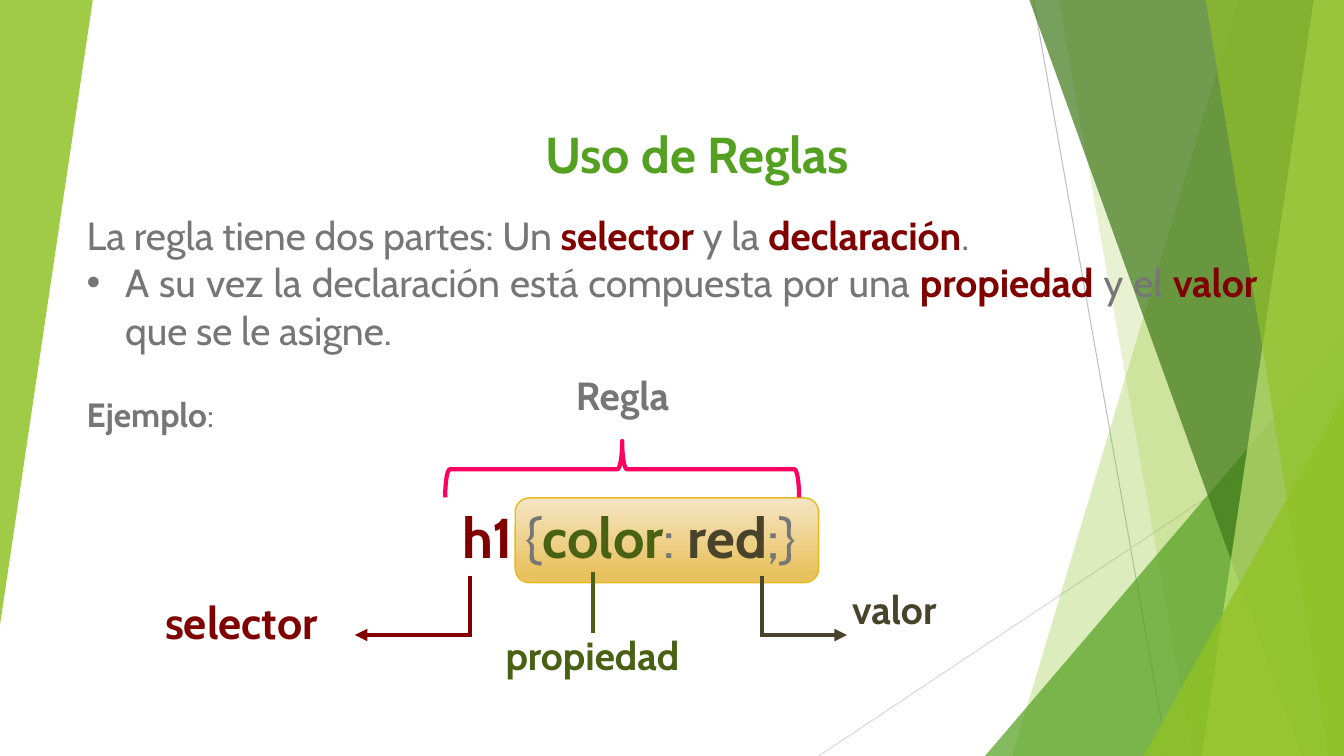
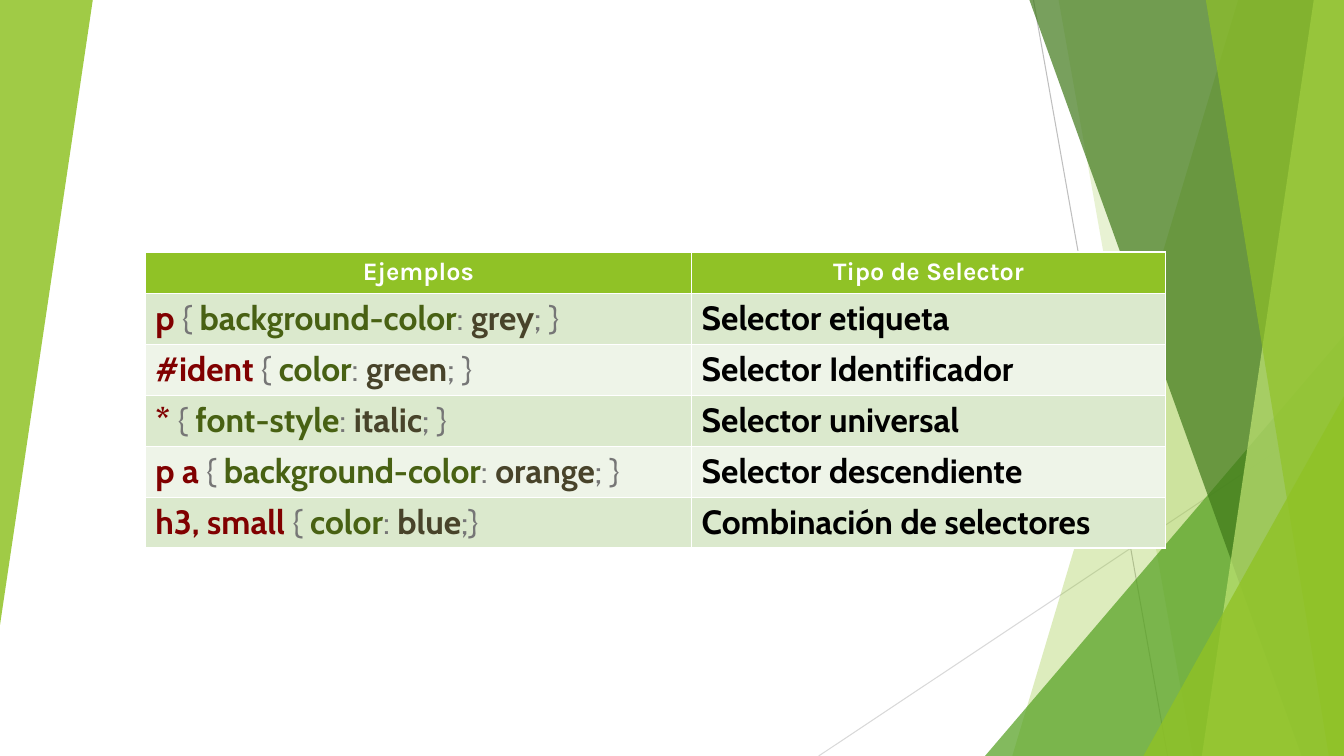
from typing import NamedTuple

from lxml import etree
from pptx import Presentation
from pptx.dml.color import RGBColor
from pptx.enum import shapes, text
from pptx.oxml import ns
from pptx.util import Inches, Pt

SLIDE_WIDTH, SLIDE_HEIGHT = 13.33, 7.5
BODY_FONT, HEADER_FONT = "Cabin", "Karla"

WHITE = RGBColor(0xFF, 0xFF, 0xFF)
BLACK = RGBColor(0x00, 0x00, 0x00)
GREY = RGBColor(0x76, 0x76, 0x76)
SILVER = RGBColor(0xBF, 0xBF, 0xBF)
PALE_SILVER = RGBColor(0xD9, 0xD9, 0xD9)
LIME = RGBColor(0x90, 0xC2, 0x26)
LIGHT_LIME = RGBColor(0xC0, 0xE4, 0x74)
GREEN = RGBColor(0x54, 0xA0, 0x21)
DARK_GREEN = RGBColor(0x3F, 0x78, 0x19)
MAROON = RGBColor(0x80, 0x00, 0x00)
OLIVE = RGBColor(0x48, 0x61, 0x13)
BROWN = RGBColor(0x48, 0x43, 0x2A)
PINK = RGBColor(0xFF, 0x00, 0x62)
GOLD = RGBColor(0xE6, 0xB9, 0x1E)
CREAM = RGBColor(0xF5, 0xE5, 0xC5)
SAND = RGBColor(0xE9, 0xC2, 0x60)
ROW_FILLS = (RGBColor(0xDB, 0xE9, 0xCD), RGBColor(0xEE, 0xF4, 0xE8))


class Box(NamedTuple):
    left: float
    top: float
    width: float
    height: float

    def lengths(self) -> list:
        return [Inches(value) for value in self]


class Run(NamedTuple):
    words: str
    color: RGBColor = GREY
    bold: bool = False


class Band(NamedTuple):
    """A strip from its slanted left edge to the right side of the slide."""
    top_x: float
    bottom_x: float
    color: RGBColor
    opacity: int


class Triangle(NamedTuple):
    box: Box
    color: RGBColor
    opacity: int
    rotation: int = 0


class Line(NamedTuple):
    start: tuple[float, float]
    end: tuple[float, float]
    color: RGBColor
    points: float = 3
    arrow: bool = False


class Label(NamedTuple):
    box: Box
    runs: list[Run]
    size: int = 28


class Example(NamedTuple):
    selector: str
    name: str
    value: str
    kind: str
    closing: str = "; }"


BACKDROP = [
    Line((10.25, 0), (11.58, SLIDE_HEIGHT), SILVER, 0.75),
    Line((SLIDE_WIDTH, 4.03), (8.12, SLIDE_HEIGHT), PALE_SILVER, 0.75),
    Band(12.28, 10.04, LIME, 30),
    Band(10.5, 11.83, LIME, 20),
    Triangle(Box(9.77, 3.33, 3.56, 4.17), GREEN, 72),
    Band(10.21, 12.91, DARK_GREEN, 70),
    Band(13.03, 11.92, LIGHT_LIME, 70),
    Band(11.96, 13.18, LIME, 65),
    Triangle(Box(11.34, 3.93, 1.99, 3.57), LIME, 80),
    Triangle(Box(0, 0, 0.92, 6.2), LIME, 85, rotation=180),
]

BODY = [
    [Run("La regla tiene dos partes: Un "), Run("selector", MAROON, True),
     Run(" y la "), Run("declaración", MAROON, True), Run(".")],
    [Run("A su vez la declaración está compuesta por una "),
     Run("propiedad", MAROON, True), Run(" y el "), Run("valor", MAROON, True),
     Run(" que se le asigne.")],
    [Run("Ejemplo", bold=True), Run(":")],
]

EXAMPLES = [
    Example("p", "background-color", "grey", "Selector etiqueta"),
    Example("#ident", "color", "green", "Selector Identificador"),
    Example("*", "font-style", "italic", "Selector universal"),
    Example("p a", "background-color", "orange", "Selector descendiente"),
    Example("h3, small", "color", "blue", "Combinación de selectores", ";}"),
]


def css_rule(selector: str, name: str, value: str,
             opening: str = " { ", closing: str = "; }") -> list[Run]:
    return [Run(selector, MAROON, True), Run(opening), Run(name, OLIVE, True),
            Run(": "), Run(value, BROWN, True), Run(closing)]


LABELS = [
    Label(Box(4.22, 4.94, 4.17, 0.77), css_rule("h1", "color", "red", " {", ";} "), 40),
    Label(Box(5.54, 3.63, 1.27, 0.57), [Run("Regla", GREY, True)]),
    Label(Box(1.41, 5.85, 1.97, 0.64), [Run("selector", MAROON, True)], 32),
    Label(Box(4.82, 6.21, 2.11, 0.57), [Run("propiedad", OLIVE, True)]),
    Label(Box(8.29, 5.76, 1.16, 0.57), [Run("valor", BROWN, True)]),
]

POINTERS = [
    Line((4.66, 5.71), (4.66, 6.32), MAROON),
    Line((4.67, 6.3), (3.52, 6.3), MAROON, arrow=True),
    Line((5.88, 5.67), (5.88, 6.28), OLIVE),
    Line((7.56, 5.71), (7.56, 6.32), BROWN),
    Line((7.55, 6.3), (8.4, 6.3), BROWN, arrow=True),
]


def add_runs(paragraph, runs: list[Run], size: int, font: str = BODY_FONT) -> None:
    for item in runs:
        run = paragraph.add_run()
        run.text = item.words
        run.font.name = font
        run.font.size = Pt(size)
        run.font.bold = item.bold
        run.font.color.rgb = item.color


def add_line(slide, line: Line):
    points = [Inches(value) for value in (*line.start, *line.end)]
    connector = slide.shapes.add_connector(shapes.MSO_CONNECTOR.STRAIGHT, *points)
    connector.line.color.rgb = line.color
    connector.line.width = Pt(line.points)
    if line.arrow:
        outline = connector.element.xpath("p:spPr/a:ln")[0]
        etree.SubElement(outline, ns.qn("a:tailEnd"), type="triangle")
    etree.SubElement(connector.element.spPr, ns.qn("a:effectLst"))
    return connector


def fill_translucent(shape, color: RGBColor, opacity: int) -> None:
    shape.shadow.inherit = False
    shape.line.fill.background()
    shape.fill.solid()
    shape.fill.fore_color.rgb = color
    color_element = shape.element.xpath("p:spPr/a:solidFill/a:srgbClr")[0]
    etree.SubElement(color_element, ns.qn("a:alpha"), val=str(opacity * 1000))


def add_band(slide, band: Band):
    corners = [(band.top_x, 0), (SLIDE_WIDTH, 0),
               (SLIDE_WIDTH, SLIDE_HEIGHT), (band.bottom_x, SLIDE_HEIGHT)]
    points = [(Inches(x), Inches(y)) for x, y in corners]
    builder = slide.shapes.build_freeform(*points[0])
    builder.add_line_segments(points[1:], close=True)
    shape = builder.convert_to_shape()
    fill_translucent(shape, band.color, band.opacity)
    return shape


def add_triangle(slide, triangle: Triangle):
    shape = slide.shapes.add_shape(
        shapes.MSO_SHAPE.ISOSCELES_TRIANGLE, *triangle.box.lengths())
    shape.adjustments[0] = 1
    shape.rotation = triangle.rotation
    fill_translucent(shape, triangle.color, triangle.opacity)
    return shape


def move_backdrop_to_master(presentation, slide) -> None:
    """Draw the backdrop on the slide, then hand its shapes to the master."""
    drawers = {Line: add_line, Band: add_band, Triangle: add_triangle}
    tree = presentation.slide_master.element.xpath("p:cSld/p:spTree")[0]
    for index, item in enumerate(BACKDROP):
        element = drawers[type(item)](slide, item).element
        element.xpath(".//p:cNvPr")[0].set("id", str(100 + index))
        tree.insert(2 + index, element)


def place(shape, box: Box) -> None:
    shape.left, shape.top, shape.width, shape.height = box.lengths()
    shape.text_frame.vertical_anchor = text.MSO_ANCHOR.TOP
    shape.text_frame.auto_size = text.MSO_AUTO_SIZE.NONE


def add_label(slide, label: Label) -> None:
    frame = slide.shapes.add_textbox(*label.box.lengths()).text_frame
    frame.word_wrap = False
    paragraph = frame.paragraphs[0]
    paragraph.alignment = text.PP_ALIGN.CENTER
    add_runs(paragraph, label.runs, label.size)


def fill_body(body) -> None:
    place(body, Box(0.76, 2.05, 11.81, 2.32))
    introduction, bullet, example = (
        body.text_frame.paragraphs[0], *(body.text_frame.add_paragraph() for _ in BODY[1:]))
    for paragraph, runs in zip((introduction, bullet, example), BODY):
        paragraph.alignment = text.PP_ALIGN.JUSTIFY
        paragraph.space_before = Pt(29 if paragraph is example else 0)
        add_runs(paragraph, runs, 24 if paragraph is example else 28)
        indent = Inches(0.38) if paragraph is bullet else 0
        properties = paragraph._p.get_or_add_pPr()
        properties.set("marL", str(indent))
        properties.set("indent", str(-indent))
        if paragraph is bullet:
            etree.SubElement(properties, ns.qn("a:buChar"), char="•")
        else:
            etree.SubElement(properties, ns.qn("a:buNone"))


def build_rule_slide(slide) -> None:
    title, body = slide.placeholders
    place(title, Box(1.55, 1.17, 10.73, 0.71))
    title_paragraph = title.text_frame.paragraphs[0]
    title_paragraph.alignment = text.PP_ALIGN.CENTER
    add_runs(title_paragraph, [Run("Uso de Reglas", GREEN, True)], 36)
    fill_body(body)

    declaration = slide.shapes.add_shape(
        shapes.MSO_SHAPE.ROUNDED_RECTANGLE, *Box(5.11, 4.94, 3.01, 0.84).lengths())
    declaration.shadow.inherit = False
    declaration.fill.gradient()
    declaration.fill.gradient_angle = 270
    stops = declaration.fill.gradient_stops
    for stop, position, color in zip(stops, (0, 0.88), (CREAM, SAND)):
        stop.position = position
        stop.color.rgb = color
    declaration.line.color.rgb = GOLD
    declaration.line.width = Pt(1)

    brace = slide.shapes.add_shape(
        shapes.MSO_SHAPE.LEFT_BRACE, *Box(5.89, 2.9, 0.56, 3.51).lengths())
    brace.rotation = 90
    brace.shadow.inherit = False
    brace.fill.background()
    brace.line.color.rgb = PINK
    brace.line.width = Pt(3)

    for label in LABELS:
        add_label(slide, label)
    for pointer in POINTERS:
        add_line(slide, pointer)


def fill_cell(cell, runs: list[Run], fill: RGBColor, size: int = 24,
              font: str = BODY_FONT, alignment=text.PP_ALIGN.LEFT) -> None:
    cell.fill.solid()
    cell.fill.fore_color.rgb = fill
    paragraph = cell.text_frame.paragraphs[0]
    paragraph.alignment = alignment
    add_runs(paragraph, runs, size, font)


def build_examples_slide(slide) -> None:
    table = slide.shapes.add_table(
        len(EXAMPLES) + 1, 2, *Box(1.44, 2.5, 10.12, 2.91).lengths()).table
    for column, width in zip(table.columns, (5.42, 4.7)):
        column.width = Inches(width)
    for index, row in enumerate(table.rows):
        row.height = Inches(0.5 if index else 0.41)
    for column, heading in enumerate(("Ejemplos", "Tipo de Selector")):
        fill_cell(table.cell(0, column), [Run(heading, WHITE, True)], LIME,
                  18, HEADER_FONT, text.PP_ALIGN.CENTER)
    for index, example in enumerate(EXAMPLES):
        fill = ROW_FILLS[index % 2]
        rule = css_rule(example.selector, example.name, example.value,
                        closing=example.closing)
        fill_cell(table.cell(index + 1, 0), rule, fill)
        fill_cell(table.cell(index + 1, 1), [Run(example.kind, BLACK, True)], fill)


def main() -> None:
    presentation = Presentation()
    presentation.slide_width = Inches(SLIDE_WIDTH)
    presentation.slide_height = Inches(SLIDE_HEIGHT)
    content_layout, blank_layout = (presentation.slide_layouts[i] for i in (1, 6))
    rule_slide = presentation.slides.add_slide(content_layout)
    move_backdrop_to_master(presentation, rule_slide)
    build_rule_slide(rule_slide)
    build_examples_slide(presentation.slides.add_slide(blank_layout))
    presentation.save("out.pptx")


if __name__ == "__main__":
    main()
